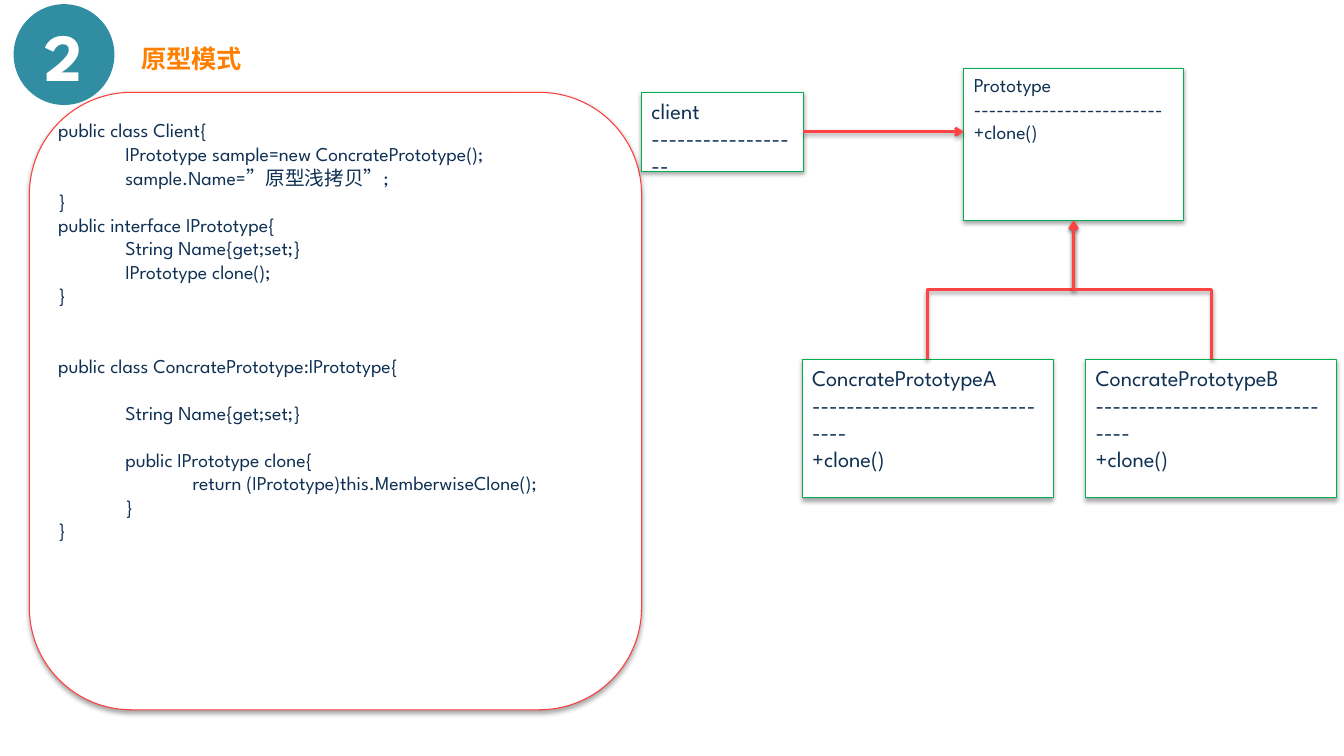
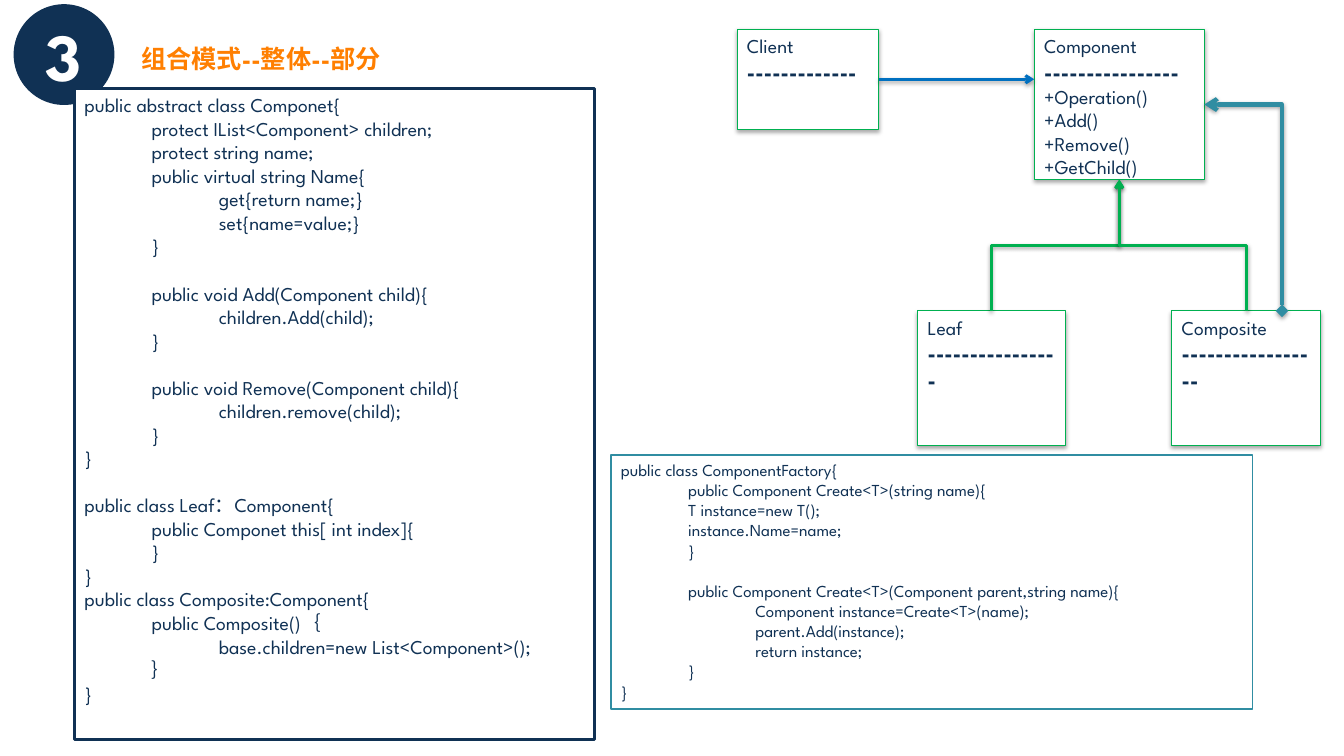
from lxml.etree import SubElement
from pptx import Presentation
from pptx.dml.color import RGBColor as RGB
from pptx.enum.shapes import MSO_CONNECTOR as CONN, MSO_SHAPE as SHAPE
from pptx.enum.text import MSO_ANCHOR as ANCHOR, PP_ALIGN as ALIGN
from pptx.oxml.ns import qn
from pptx.util import Emu, Pt

PX = 9525
FONT = "League Spartan"
INDENT = 64
COLORS = {
    "navy": "103154",
    "teal": "308DA2",
    "orange": "FF7F01",
    "red": "FE3D3D",
    "coral": "FF4343",
    "green": "00B050",
    "blue": "0070C0",
    "white": "FFFFFF",
    "black": "000000",
}

PROTOTYPE_CODE = """
public class Client{
    IPrototype sample=new ConcratePrototype();
    sample.Name=”原型浅拷贝”;
}
public interface IPrototype{
    String Name{get;set;}
    IPrototype clone();
}


public class ConcratePrototype:IPrototype{

    String Name{get;set;}

    public IPrototype clone{
        return (IPrototype)this.MemberwiseClone();
    }
}
"""

COMPOSITE_CODE = """
public abstract class Componet{
    protect IList<Component> children;
    protect string name;
    public virtual string Name{
        get{return name;}
        set{name=value;}
    }

    public void Add(Component child){
        children.Add(child);
    }

    public void Remove(Component child){
        children.remove(child);
    }
}

public class Leaf：Component{
    public Componet this[ int index]{
    }
}
public class Composite:Component{
    public Composite()｛
        base.children=new List<Component>();
    ｝
}
"""

FACTORY_CODE = """
public class ComponentFactory{
    public Component Create<T>(string name){
    T instance=new T();
    instance.Name=name;
    }

    public Component Create<T>(Component parent,string name){
        Component instance=Create<T>(name);
        parent.Add(instance);
        return instance;
    }
}
"""


def px(*values):
    """Turn whole px into EMU lengths."""
    return [Emu(v * PX) for v in values]


def rgb(name):
    """Look up a colour by name."""
    return RGB.from_string(COLORS[name])


class Deck:
    """Hold the shared style and the slide being drawn."""

    def __init__(self):
        """Start an empty widescreen deck."""
        self.prs = Presentation()
        self.prs.slide_width, self.prs.slide_height = px(1280, 720)
        self.slide = None

    def new_slide(self, number, title, color):
        """Add a slide with its numbered disc and title."""
        self.slide = self.prs.slides.add_slide(self.prs.slide_layouts[6])
        disc = self.shape(SHAPE.OVAL, (13, 4, 96, 96), fill=color)
        disc.text_frame.vertical_anchor = ANCHOR.MIDDLE
        p = self.line(disc.text_frame.paragraphs[0], number, 48, "white", True)
        p.alignment = ALIGN.CENTER
        tf = self.textbox((125, 28, 820, 47)).text_frame
        tf.vertical_anchor = ANCHOR.MIDDLE
        p = self.line(tf.paragraphs[0], title, 18, "orange", True)
        p.line_spacing = 1.3

    def line(self, p, text, size, color="navy", bold=False):
        """Write one left-aligned styled paragraph."""
        p.text = text
        p.alignment = ALIGN.LEFT
        for r in p.runs:
            r.font.name, r.font.size, r.font.bold = FONT, Pt(size), bold
            r.font.color.rgb = rgb(color)
        return p

    def textbox(self, box):
        """Add a wrapping text box."""
        s = self.slide.shapes.add_textbox(*px(*box))
        s.text_frame.word_wrap = True
        return s

    def shape(self, kind, box, fill=None, line=None, width=0.75, shadow=False):
        """Add a preset shape with top-anchored text."""
        s = self.slide.shapes.add_shape(kind, *px(*box))
        s.shadow.inherit = False
        if fill:
            s.fill.solid()
            s.fill.fore_color.rgb = rgb(fill)
        else:
            s.fill.background()
        if line:
            s.line.color.rgb = rgb(line)
            s.line.width = Pt(width)
        else:
            s.line.fill.background()
        if shadow:
            self.cast(s._element.spPr.find(qn("a:effectLst")), 23000, 35)
        s.text_frame.word_wrap = True
        s.text_frame.vertical_anchor = ANCHOR.TOP
        return s

    def cast(self, effects, distance, opacity):
        """Put a soft downward shadow into an effect list."""
        shadow = SubElement(effects, qn("a:outerShdw"), blurRad="40000",
                            dist=str(distance), dir="5400000", rotWithShape="0")
        color = SubElement(shadow, qn("a:srgbClr"), val=COLORS["black"])
        SubElement(color, qn("a:alpha"), val=str(opacity * 1000))

    def code(self, s, source, size):
        """Fill a shape with code, indenting by level and spacing blank lines."""
        tf = s.text_frame
        gap, p = 0, None
        for row in source.strip().split("\n"):
            text = row.lstrip(" ")
            if not text:
                gap += 1
                continue
            p = tf.add_paragraph() if p else tf.paragraphs[0]
            self.line(p, text, size)
            level = (len(row) - len(text)) // 4
            pPr = p._p.get_or_add_pPr()
            pPr.set("marL", str(level * INDENT * PX))
            pPr.set("indent", "0")
            p.space_before = Pt(round(gap * size * 1.2, 1))
            gap = 0

    def node(self, box, name, dashes, members=(), size=14, heavy=False):
        """Add a class box with name, dashed rule and members."""
        s = self.shape(SHAPE.RECTANGLE, box, "white", "green", shadow=True)
        tf = s.text_frame
        self.line(tf.paragraphs[0], name, size)
        self.line(tf.add_paragraph(), "-" * dashes, 16 if heavy else size, bold=heavy)
        for member in members:
            self.line(tf.add_paragraph(), member, size)
        return s

    def finish(self, c, color, width=2, head=None, tail="arrow"):
        """Give a connector its line, ends and shadow."""
        c.line.color.rgb = rgb(color)
        c.line.width = Pt(width)
        ln = c.line._get_or_add_ln()
        for tag, end in (("a:headEnd", head), ("a:tailEnd", tail)):
            if end:
                SubElement(ln, qn(tag), type=end)
        self.cast(SubElement(c._element.spPr, qn("a:effectLst")), 20000, 38)

    def arrow(self, src, dst, color):
        """Draw a level arrow from the right side of one box to another box."""
        y = src.top + src.height // 2
        c = self.slide.shapes.add_connector(
            CONN.STRAIGHT, src.left + src.width, y, dst.left, y)
        c.begin_connect(src, 3)
        self.finish(c, color)

    def inherit(self, child, parent, color):
        """Draw an elbow arrow from the top of a child up to its parent."""
        x1, y1 = child.left + child.width // 2, child.top
        x2, y2 = parent.left + parent.width // 2, parent.top + parent.height
        c = self.slide.shapes.add_connector(CONN.ELBOW, x1, y1, x2, y2)
        c.begin_connect(child, 0)
        c.end_connect(parent, 2)
        c.width, c.height = y1 - y2, abs(x2 - x1)
        c.left = (x1 + x2 - c.width) // 2
        c.top = (y1 + y2 - c.height) // 2
        xfrm = c._element.spPr.find(qn("a:xfrm"))
        xfrm.set("rot", "16200000")
        xfrm.set("flipH", "0")
        xfrm.set("flipV", "1" if x2 < x1 else "0")
        self.finish(c, color)

    def aggregate(self, whole, part, x, color):
        """Draw a one-bend line from a box's right side down to another's top."""
        c = self.slide.shapes.add_connector(
            CONN.ELBOW, whole.left + whole.width, whole.top + whole.height // 2,
            *px(x), part.top)
        c._element.spPr.find(qn("a:prstGeom")).set("prst", "bentConnector2")
        self.finish(c, color, 3, "arrow", "diamond")


def prototype_slide(deck):
    """Draw the prototype pattern."""
    deck.new_slide("2", "原型模式", "teal")
    deck.shape(SHAPE.ROUNDED_RECTANGLE, (28, 88, 583, 588), "white", "red", shadow=True)
    deck.code(deck.textbox((46, 108, 540, 440)), PROTOTYPE_CODE, 14)
    client = deck.node((611, 88, 154, 75), "client", 18, size=16)
    prototype = deck.node((918, 65, 209, 145), "Prototype", 25, ["+clone()"])
    deck.arrow(client, prototype, "coral")
    for x, letter in ((764, "A"), (1034, "B")):
        concrete = deck.node((x, 342, 239, 132), "ConcratePrototype" + letter, 30,
                             ["+clone()"], 16)
        deck.inherit(concrete, prototype, "coral")


def composite_slide(deck):
    """Draw the composite pattern."""
    deck.new_slide("3", "组合模式--整体--部分", "navy")
    client = deck.node((702, 28, 135, 95), "Client", 13, heavy=True)
    component = deck.node((985, 28, 162, 143), "Component", 16,
                          ["+Operation()", "+Add()", "+Remove()", "+GetChild()"],
                          heavy=True)
    leaf = deck.node((874, 296, 141, 128), "Leaf", 16, heavy=True)
    composite = deck.node((1116, 296, 142, 128), "Composite", 17, heavy=True)
    for child in (leaf, composite):
        deck.inherit(child, component, "green")
    deck.aggregate(component, composite, 1221, "teal")
    deck.arrow(client, component, "blue")
    s = deck.shape(SHAPE.RECTANGLE, (71, 84, 495, 620), "white", "navy", 2)
    deck.code(s, COMPOSITE_CODE, 14)
    s = deck.shape(SHAPE.RECTANGLE, (582, 433, 611, 242), None, "teal", 1.25)
    deck.code(s, FACTORY_CODE, 12)


def main():
    """Build and save the deck."""
    deck = Deck()
    prototype_slide(deck)
    composite_slide(deck)
    deck.prs.save("out.pptx")


if __name__ == "__main__":
    main()
